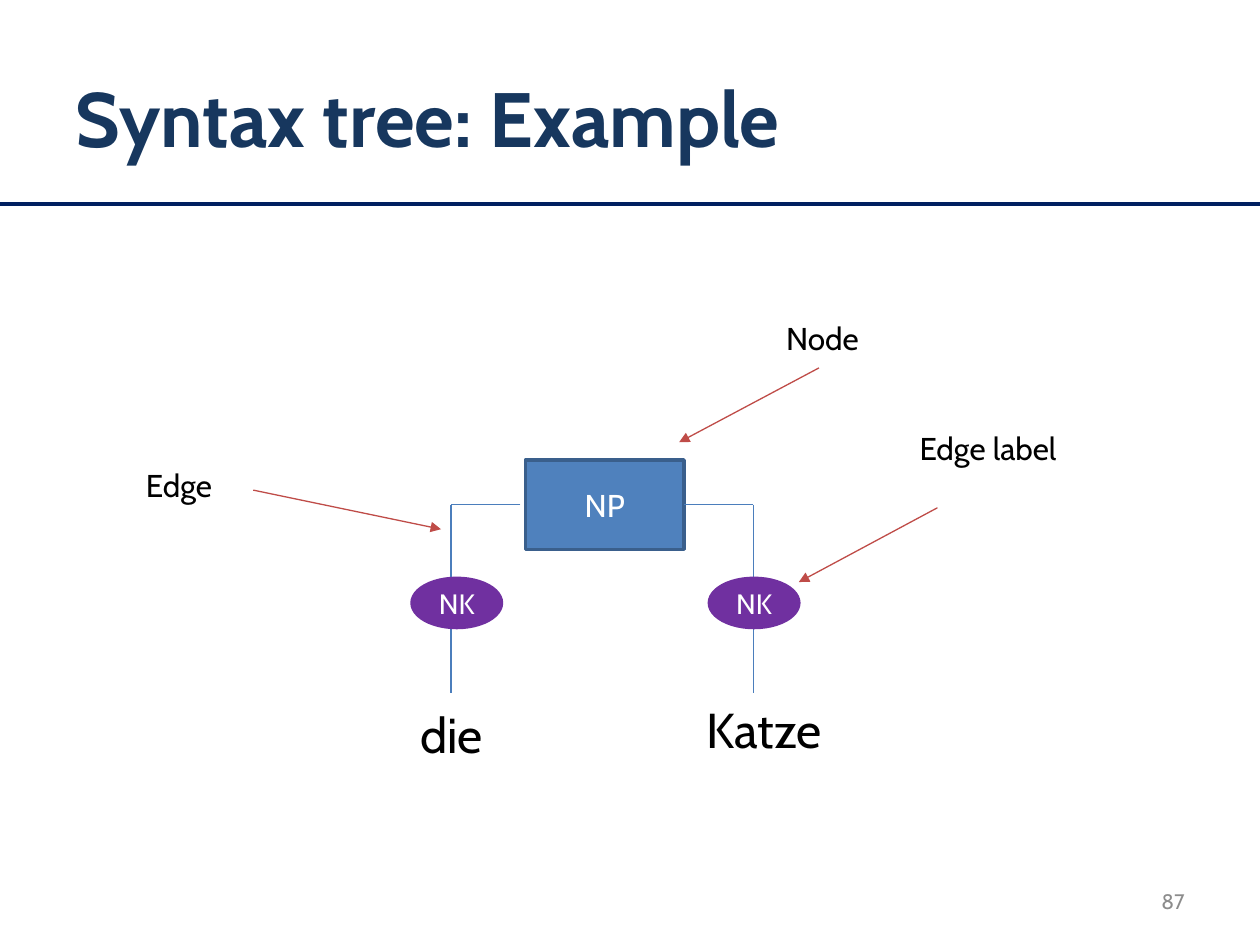
from lxml.etree import SubElement
from pptx import Presentation
from pptx.dml.color import RGBColor as RGB
from pptx.enum.shapes import MSO_CONNECTOR as Link, MSO_SHAPE as Kind
from pptx.enum.text import MSO_ANCHOR as Anchor, MSO_AUTO_SIZE as Fit, PP_ALIGN as Align
from pptx.oxml.ns import qn
from pptx.util import Inches, Pt

NAVY = RGB(0x00, 0x20, 0x60)
TITLE = RGB(0x17, 0x37, 0x5E)
GRAY = RGB(0x8C, 0x8C, 0x8C)
BLUE = RGB(0x4F, 0x81, 0xBD)
RIM = RGB(0x3A, 0x5F, 0x8C)
EDGE = RGB(0x4B, 0x7E, 0xBC)
PURPLE = RGB(0x70, 0x30, 0xA0)
RED = RGB(0xBF, 0x4C, 0x48)
BLACK = RGB(0, 0, 0)
WHITE = RGB(0xFF, 0xFF, 0xFF)


def write(shape, text, size, color, align=Align.LEFT, anchor=Anchor.TOP, bold=False):
    """Put one styled paragraph in a shape."""
    frame = shape.text_frame
    frame.text = text
    para = frame.paragraphs[0]
    font = para.runs[0].font
    formats = {
        frame: {"word_wrap": True, "vertical_anchor": anchor},
        para: {"alignment": align},
        font: {"name": "Cabin", "size": Pt(size), "bold": bold},
    }
    for target, values in formats.items():
        for key, value in values.items():
            setattr(target, key, value)
    font.color.rgb = color


def label(slide, box, text, size, align=Align.LEFT):
    """Add a black text box that grows with its text."""
    shape = slide.shapes.add_textbox(*map(Inches, box))
    write(shape, text, size, BLACK, align)
    shape.text_frame.auto_size = Fit.SHAPE_TO_FIT_TEXT


def rule(slide, start, end, color, width=0.75, arrow=False):
    """Draw a straight line, with an arrowhead at its end if asked."""
    line = slide.shapes.add_connector(Link.STRAIGHT, *map(Inches, start + end))
    line.line.color.rgb = color
    line.line.width = Pt(width)
    if arrow:
        SubElement(line.line._get_or_add_ln(), qn("a:tailEnd"), type="triangle")
    SubElement(line._element.spPr, qn("a:effectLst"))
    return line


def node(slide, kind, box, text, size, fill, rim):
    """Add a filled tree node with centred white text."""
    shape = slide.shapes.add_shape(kind, *map(Inches, box))
    shape.shadow.inherit = False
    shape.fill.solid()
    shape.fill.fore_color.rgb = fill
    shape.line.color.rgb = rim
    shape.line.width = Pt(2)
    write(shape, text, size, WHITE, Align.CENTER, Anchor.MIDDLE)
    return shape


def head(slide, box):
    """Place the title and the rule under it."""
    x, y, wide, high = box
    rule(slide, (0, y + 1.32), (10, y + 1.32), NAVY, 2.25)
    title = slide.shapes.title
    for key, value in zip(("left", "top", "width", "height"), box):
        setattr(title, key, Inches(value))
    write(title, "Syntax tree: Example", 44, TITLE, anchor=Anchor.MIDDLE, bold=True)


def tree(slide, box):
    """Draw the phrase node with its two labelled branches and words."""
    x, y, wide, high = box
    mid, foot = y + 0.355, y + 1.85
    root = node(slide, Kind.RECTANGLE, (x + 1.41, y, 1.26, 0.71), "NP", 18, BLUE, RIM)
    branches = (
        ("die", 0, 1.89, 0.82, 1.37, 0.51),
        ("Katze", wide - 1.65, 1.85, 3.22, 2.67, 2.87),
    )
    for word, left, top, stem, inner, tag in branches:
        label(slide, (x + left, y + top, 1.65, 0.57), word, 28, Align.CENTER)
        arm = rule(slide, (x + inner, mid), (x + stem, mid), EDGE)
        if inner > stem:
            arm.begin_x = Inches(x + inner)
        else:
            arm.begin_connect(root, 3)
        rule(slide, (x + stem, mid), (x + stem, foot), EDGE)
        node(slide, Kind.OVAL, (x + tag, y + 0.94, 0.71, 0.39), "NK", 16, PURPLE, PURPLE)


def notes(slide, box):
    """Name the parts of the tree and point at them."""
    x, y, wide, high = box
    parts = (
        ("Edge", (0, 1.17), 1.5, (0.95, 1.41), (2.44, 1.72)),
        ("Edge label", (6.14, 0.88), 1.5, (6.38, 1.55), (5.28, 2.14)),
        ("Node", (5.08, 0), 2.32, (5.44, 0.44), (4.33, 1.03)),
    )
    for text, spot, width, start, end in parts:
        left, top = spot
        label(slide, (x + left, y + top, width, 0.4), text, 18)
        ends = [(x + across, y + down) for across, down in (start, end)]
        rule(slide, *ends, RED, arrow=True)


def foot(slide, box):
    """Place the page number."""
    shape = slide.shapes.add_textbox(*map(Inches, box))
    write(shape, "87", 12, GRAY, Align.RIGHT, Anchor.MIDDLE)


def main():
    """Build and save the slide."""
    deck = Presentation()
    deck.slide_width, deck.slide_height = Inches(10), Inches(7.5)
    slide = deck.slides.add_slide(deck.slide_layouts[5])
    head(slide, (0.5, 0.3, 9, 1.25))
    foot(slide, (7.17, 6.95, 2.33, 0.4))
    tree(slide, (2.76, 3.65, 4.13, 2.46))
    notes(slide, (1.06, 2.48, 7.64, 2.14))
    deck.save("out.pptx")


if __name__ == "__main__":
    main()
